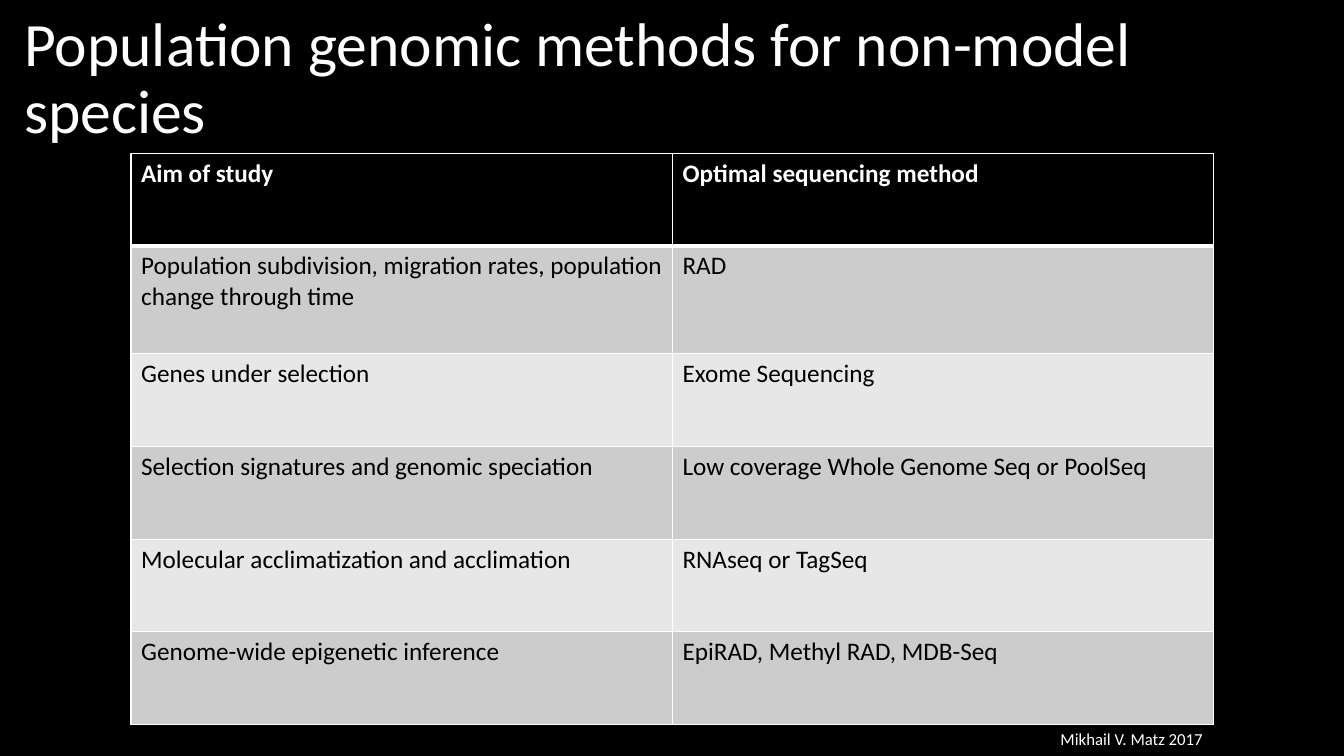
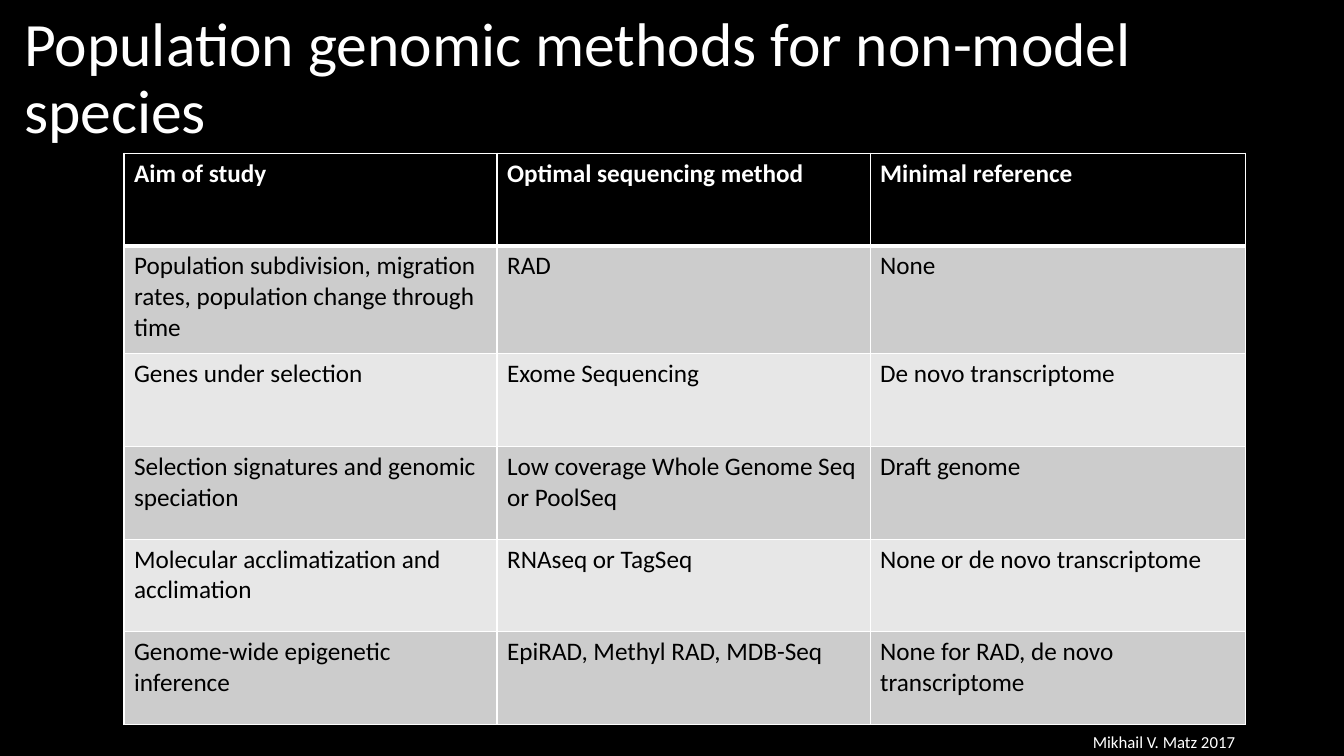
from lxml.etree import SubElement as Sub
from pptx import Presentation
from pptx.dml.color import RGBColor
from pptx.enum.text import MSO_ANCHOR as Anchor, MSO_AUTO_SIZE as Fit, PP_ALIGN as Align
from pptx.oxml.ns import qn
from pptx.util import Pt

PX = 9144  # EMU in one px, 100 px to the inch
FONT = "Calibri"
BLACK = RGBColor(0x00, 0x00, 0x00)
WHITE = RGBColor(0xFF, 0xFF, 0xFF)
DARK = RGBColor(0xCC, 0xCC, 0xCC)
LIGHT = RGBColor(0xE7, 0xE7, 0xE7)

TITLE = "Population genomic methods for non-model species"
CREDIT = "Mikhail V. Matz 2017"
HEIGHTS = [92, 107, 92, 92, 92, 92]
ROWS = [
    ("Aim of study", "Optimal sequencing method", "Minimal reference"),
    ("Population subdivision, migration rates, population change through time",
     "RAD", "None"),
    ("Genes under selection", "Exome Sequencing", "De novo transcriptome"),
    ("Selection signatures and genomic speciation",
     "Low coverage Whole Genome Seq or PoolSeq", "Draft genome"),
    ("Molecular acclimatization and acclimation", "RNAseq or TagSeq",
     "None or de novo transcriptome"),
    ("Genome-wide epigenetic inference", "EpiRAD, Methyl RAD, MDB-Seq",
     "None for RAD, de novo transcriptome"),
]


def px(*nums):
    return [num * PX for num in nums]


def write(frame, text, size, color, bold=False, align=Align.LEFT):
    frame.text = text
    para = frame.paragraphs[0]
    para.alignment = align
    font = para.runs[0].font
    font.name, font.size, font.bold = FONT, Pt(size), bold
    font.color.rgb = color
    return para


def border(cell, row):
    # A thick rule parts the header from the body
    wide = {"lnB": row == 0, "lnT": row == 1}
    props = cell._tc.get_or_add_tcPr()
    for side in ("lnL", "lnR", "lnT", "lnB"):
        line = Sub(props, qn("a:" + side), w=str(Pt(3 if wide.get(side) else 1)))
        fill = Sub(line, qn("a:solidFill"))
        Sub(fill, qn("a:srgbClr"), val=str(WHITE))


def add_title(slide):
    title = slide.shapes.title
    title.left, title.top, title.width, title.height = px(14, 7, 1306, 145)
    frame = title.text_frame
    frame.word_wrap, frame.auto_size = True, Fit.NONE
    frame.vertical_anchor = Anchor.MIDDLE
    write(frame, TITLE, 44, WHITE).line_spacing = 0.9


def add_grid(slide, left, widths):
    box = px(left, 152, sum(widths), sum(HEIGHTS))
    table = slide.shapes.add_table(len(ROWS), len(widths), *box).table
    for col, width in zip(table.columns, widths):
        col.width = width * PX
    for row, (height, texts) in enumerate(zip(HEIGHTS, ROWS)):
        table.rows[row].height = height * PX
        head = row == 0
        shade = BLACK if head else DARK if row % 2 else LIGHT
        for col in range(len(widths)):
            cell = table.cell(row, col)
            write(cell.text_frame, texts[col], 18, WHITE if head else BLACK, head)
            border(cell, row)
            cell.fill.solid()
            cell.fill.fore_color.rgb = shade


def add_credit(slide, left, top):
    frame = slide.shapes.add_textbox(*px(left, top, 225, 30)).text_frame
    frame.word_wrap, frame.auto_size = True, Fit.SHAPE_TO_FIT_TEXT
    write(frame, CREDIT, 12, WHITE, align=Align.RIGHT)


def add_slide(deck, left, widths, credit):
    slide = deck.slides.add_slide(deck.slide_layouts.get_by_name("Title Only"))
    add_title(slide)
    add_grid(slide, left, widths)
    add_credit(slide, *credit)


def main():
    deck = Presentation()
    deck.slide_width, deck.slide_height = px(1333, 750)
    # Black backdrop for every slide
    fill = deck.slide_master.background.fill
    fill.solid()
    fill.fore_color.rgb = BLACK

    add_slide(deck, 130, [537, 537], (978, 718))
    add_slide(deck, 123, [370, 370, 372], (1010, 721))
    deck.save("out.pptx")


if __name__ == "__main__":
    main()
